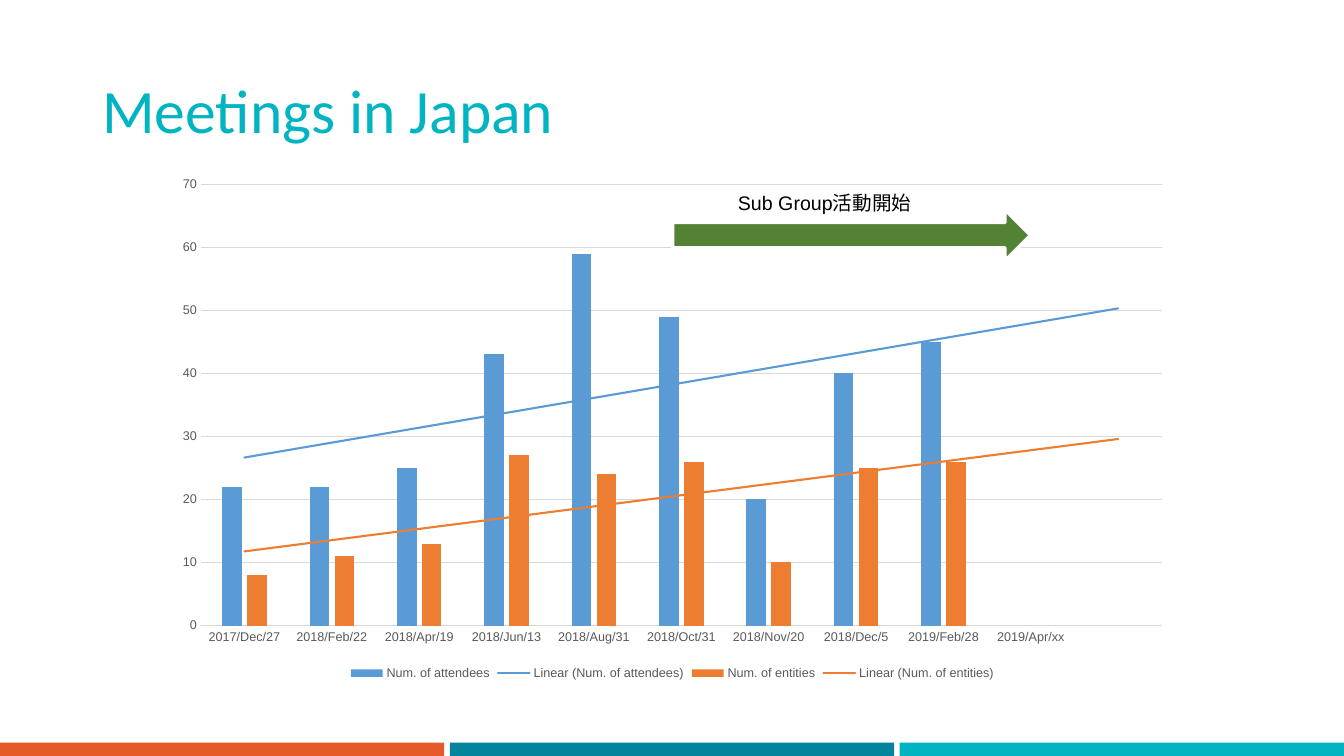
from lxml import etree
from pptx import Presentation
from pptx.chart.data import CategoryChartData
from pptx.dml.color import RGBColor
from pptx.enum.chart import XL_CHART_TYPE, XL_LEGEND_POSITION, XL_TICK_MARK
from pptx.enum.shapes import MSO_SHAPE
from pptx.enum.text import MSO_ANCHOR
from pptx.oxml import parse_xml
from pptx.oxml.ns import nsdecls
from pptx.util import Pt

COLUMN_CLUSTERED = XL_CHART_TYPE.COLUMN_CLUSTERED
LEGEND_BOTTOM = XL_LEGEND_POSITION.BOTTOM
NO_TICK = XL_TICK_MARK.NONE
RECTANGLE = MSO_SHAPE.RECTANGLE
RIGHT_ARROW = MSO_SHAPE.RIGHT_ARROW
MIDDLE = MSO_ANCHOR.MIDDLE

BLACK = RGBColor(0x00, 0x00, 0x00)
WHITE = RGBColor(0xFF, 0xFF, 0xFF)
GREY_TEXT = RGBColor(0x59, 0x59, 0x59)
GREY_LINE = RGBColor(0xD9, 0xD9, 0xD9)
RED_ORANGE = RGBColor(0xE6, 0x5A, 0x2A)
TEAL = RGBColor(0x00, 0x84, 0x9D)
TURQUOISE = RGBColor(0x00, 0xB4, 0xC2)
BLUE = RGBColor(0x5B, 0x9B, 0xD5)
ORANGE = RGBColor(0xED, 0x7D, 0x31)
GREEN = RGBColor(0x54, 0x82, 0x35)

SLIDE_WIDTH, SLIDE_HEIGHT = 960, 540
MEETINGS = ["2017/Dec/27", "2018/Feb/22", "2018/Apr/19", "2018/Jun/13",
            "2018/Aug/31", "2018/Oct/31", "2018/Nov/20", "2018/Dec/5",
            "2019/Feb/28", "2019/Apr/xx", ""]
SERIES = [
    ("Num. of attendees", [22, 22, 25, 43, 59, 49, 20, 40, 45, None, None], BLUE),
    ("Num. of entities", [8, 11, 13, 27, 24, 26, 10, 25, 26, None, None], ORANGE),
]


def style_font(font, size, color, name="Arial"):
    font.name = name
    font.size = Pt(size)
    font.color.rgb = color


def add_block(slide, kind, left, top, width, height, color):
    shape = slide.shapes.add_shape(kind, Pt(left), Pt(top), Pt(width), Pt(height))
    shape.shadow.inherit = False
    shape.fill.solid()
    shape.fill.fore_color.rgb = color
    shape.line.fill.background()
    return shape


def add_label(slide, left, top, width, height, text, size, color, font_name):
    box = slide.shapes.add_textbox(Pt(left), Pt(top), Pt(width), Pt(height))
    box.text_frame.word_wrap = True
    box.text_frame.text = text
    paragraph = box.text_frame.paragraphs[0]
    style_font(paragraph.runs[0].font, size, color, font_name)
    return box


def add_footer(slide, left, top, width, height):
    colors = [RED_ORANGE, TEAL, TURQUOISE]
    gap = 4
    bar_width = (width - gap * (len(colors) - 1)) / len(colors)
    for index, color in enumerate(colors):
        add_block(slide, RECTANGLE, left + index * (bar_width + gap), top,
                  bar_width, height, color)


def add_title(slide, left, top, width, height):
    title = add_label(slide, left, top, width, height, "Meetings in Japan",
                      44, TURQUOISE, "Calibri")
    title.text_frame.vertical_anchor = MIDDLE
    title.text_frame.paragraphs[0].line_spacing = 0.9


def add_trendline(series, color):
    trendline = parse_xml(
        f'<c:trendline {nsdecls("c", "a")}><c:spPr><a:ln w="{Pt(1.5)}" cap="rnd">'
        f'<a:solidFill><a:srgbClr val="{color}"/></a:solidFill></a:ln></c:spPr>'
        '<c:trendlineType val="linear"/><c:dispRSqr val="0"/><c:dispEq val="0"/>'
        '</c:trendline>')
    categories = series._element.find(etree.QName(trendline).text.replace("trendline", "cat"))
    categories.addprevious(trendline)


def style_axis(axis):
    axis.major_tick_mark = NO_TICK
    axis.minor_tick_mark = NO_TICK
    style_font(axis.tick_labels.font, 9, GREY_TEXT)


def style_line(line):
    line.color.rgb = GREY_LINE
    line.width = Pt(0.75)


def add_meeting_chart(slide, left, top, width, height):
    data = CategoryChartData()
    data.categories = MEETINGS
    for name, values, _ in SERIES:
        data.add_series(name, values)
    chart = slide.shapes.add_chart(COLUMN_CLUSTERED, Pt(left), Pt(top),
                                   Pt(width), Pt(height), data).chart
    style_font(chart.font, 10, BLACK)
    chart.has_title = False
    chart.has_legend = True
    chart.legend.position = LEGEND_BOTTOM
    chart.legend.include_in_layout = False
    style_font(chart.legend.font, 9, GREY_TEXT)

    style_axis(chart.category_axis)
    style_line(chart.category_axis.format.line)
    value_axis = chart.value_axis
    style_axis(value_axis)
    value_axis.format.line.fill.background()
    value_axis.minimum_scale = 0
    value_axis.maximum_scale = 70
    value_axis.major_unit = 10
    style_line(value_axis.major_gridlines.format.line)

    plot = chart.plots[0]
    plot.vary_by_categories = False
    plot.gap_width = 219
    plot.overlap = -27
    for series, (_, _, color) in zip(plot.series, SERIES):
        series.format.fill.solid()
        series.format.fill.fore_color.rgb = color
        add_trendline(series, color)


def add_sub_group_arrow(slide, left, top, width, height):
    label_height = 24.5
    arrow_top = top + 17.5
    arrow = add_block(slide, RIGHT_ARROW, left, arrow_top, width,
                      height - 17.5, GREEN)
    arrow.line.color.rgb = WHITE
    arrow.line.width = Pt(2.25)
    add_label(slide, left + 39.5, top, 169, label_height,
              "Sub Group活動開始", 14, BLACK, "Arial")


def main():
    presentation = Presentation()
    presentation.slide_width = Pt(SLIDE_WIDTH)
    presentation.slide_height = Pt(SLIDE_HEIGHT)
    slide = presentation.slides.add_slide(presentation.slide_layouts[6])
    add_footer(slide, 0, 530.5, SLIDE_WIDTH, 9.5)
    add_title(slide, 66, 29, 828, 104)
    add_meeting_chart(slide, 116, 119, 728.5, 370)
    add_sub_group_arrow(slide, 480.5, 132.5, 255.5, 53.5)
    presentation.save("out.pptx")


if __name__ == "__main__":
    main()
